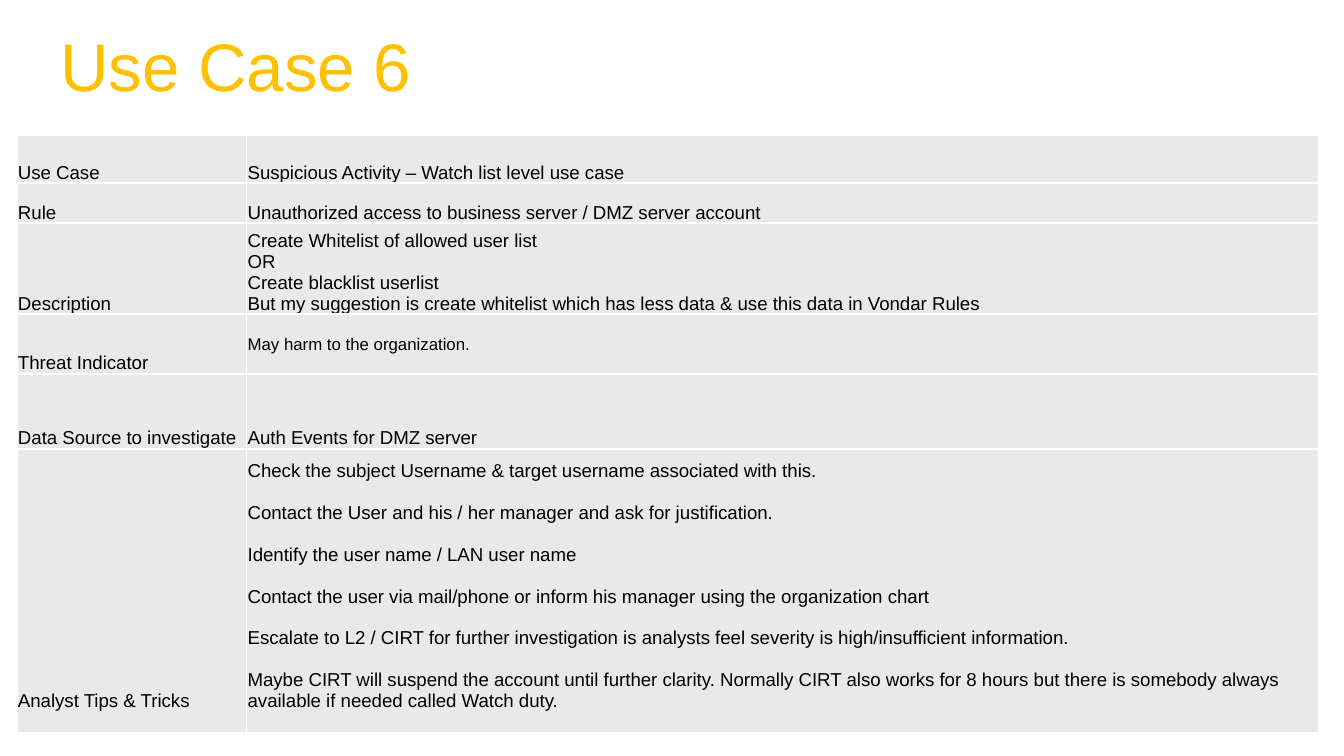
from lxml.etree import SubElement
from pptx import Presentation
from pptx.dml.color import RGBColor
from pptx.enum.text import MSO_ANCHOR
from pptx.oxml.ns import qn
from pptx.util import Cm, Pt

FONT = "Arial"
COLORS = {"title": "FFC000", "text": "000000", "cell": "E9E9E9", "border": "FFFFFF"}
COLUMN_WIDTHS = [4.34, 20.27]
ROW_HEIGHTS = [0.91, 0.76, 1.65, 1.13, 1.42, 5.33]

# Each row: label, then the paragraphs of its details
ROWS = [
    ("Use Case", ["Suspicious Activity – Watch list level use case"]),
    ("Rule", ["Unauthorized access to business server / DMZ server account"]),
    ("Description", [
        "Create Whitelist of allowed user list",
        "OR",
        "Create blacklist userlist",
        "But my suggestion is create whitelist which has less data & use this data in Vondar Rules",
    ]),
    ("Threat Indicator", ["May harm to the organization."]),
    ("Data Source to investigate", ["Auth Events for DMZ server"]),
    ("Analyst Tips & Tricks", [
        "Check the subject Username & target username associated with this.",
        "Contact the User and his / her manager and ask for justification.",
        "Identify the user name / LAN user name",
        "Contact the user via mail/phone or inform his manager using the organization chart",
        "Escalate to L2 / CIRT for further investigation is analysts feel severity is "
        "high/insufficient information.",
        "Maybe CIRT will suspend the account until further clarity. Normally CIRT also works "
        "for 8 hours but there is somebody always available if needed called Watch duty.",
    ]),
]


def style_font(paragraph, size, color):
    paragraph.font.name = FONT
    paragraph.font.size = Pt(size)
    paragraph.font.color.rgb = RGBColor.from_string(COLORS[color])


def add_title(slide, text):
    box = slide.shapes.add_textbox(Cm(0.89), Cm(0.43), Cm(17.81), Cm(1.6))
    frame = box.text_frame
    frame.word_wrap = True
    frame.vertical_anchor = MSO_ANCHOR.MIDDLE
    frame.text = text
    style_font(frame.paragraphs[0], 36, "title")


def set_borders(cell):
    properties = cell._tc.get_or_add_tcPr()
    for position, side in enumerate(("a:lnL", "a:lnR", "a:lnT", "a:lnB")):
        line = SubElement(properties, qn(side), w=str(Pt(1)))
        fill = SubElement(line, qn("a:solidFill"))
        SubElement(fill, qn("a:srgbClr"), val=COLORS["border"])
        # Borders must come before the cell fill
        properties.insert(position, line)


def fill_cell(cell, texts, size=10, gap=0, bottom=0, anchor=MSO_ANCHOR.BOTTOM):
    cell.fill.solid()
    cell.fill.fore_color.rgb = RGBColor.from_string(COLORS["cell"])
    cell.margin_left = cell.margin_right = cell.margin_top = Cm(0.02)
    cell.margin_bottom = Cm(bottom)
    cell.vertical_anchor = anchor
    cell.text = "\n".join(texts)
    for index, paragraph in enumerate(cell.text_frame.paragraphs):
        style_font(paragraph, size, "text")
        paragraph.space_before = Pt(gap if index else 0)
    set_borders(cell)


def add_use_case_table(slide):
    shape = slide.shapes.add_table(
        len(ROWS), len(COLUMN_WIDTHS), Cm(0.32), Cm(2.55),
        Cm(sum(COLUMN_WIDTHS)), Cm(sum(ROW_HEIGHTS)))
    table = shape.table
    table.first_row = table.horz_banding = False
    for column, width in zip(table.columns, COLUMN_WIDTHS):
        column.width = Cm(width)
    for row, height in zip(table.rows, ROW_HEIGHTS):
        row.height = Cm(height)

    # Rows whose details are set differently from the rest
    label_options = {"Analyst Tips & Tricks": {"bottom": 0.4}}
    detail_options = {
        "Threat Indicator": {"size": 9, "anchor": MSO_ANCHOR.MIDDLE},
        "Analyst Tips & Tricks": {"gap": 11.2, "bottom": 0.4},
    }
    for row, (label, details) in zip(table.rows, ROWS):
        label_cell, detail_cell = row.cells
        fill_cell(label_cell, [label], **label_options.get(label, {}))
        fill_cell(detail_cell, details, **detail_options.get(label, {}))


def main():
    presentation = Presentation()
    presentation.slide_width = Cm(25.4)
    presentation.slide_height = Cm(14.29)
    slide = presentation.slides.add_slide(presentation.slide_layouts[6])
    add_title(slide, "Use Case 6")
    add_use_case_table(slide)
    presentation.save("out.pptx")


if __name__ == "__main__":
    main()
